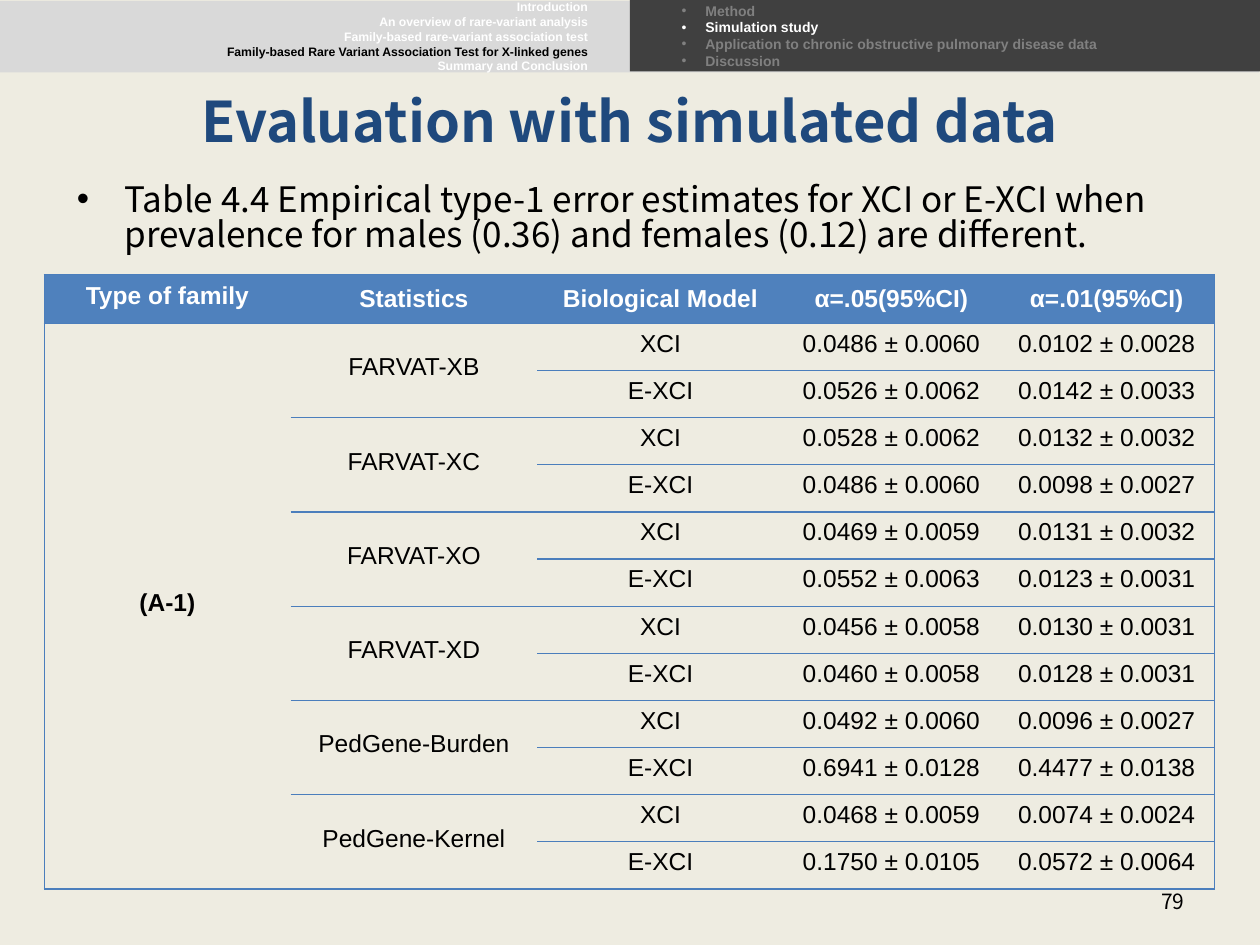
import dataclasses

import lxml.etree
import pptx
import pptx.dml.color
import pptx.enum.shapes
import pptx.enum.text
import pptx.oxml.ns
import pptx.util

Cm = pptx.util.Cm
Pt = pptx.util.Pt
Align = pptx.enum.text.PP_ALIGN
Anchor = pptx.enum.text.MSO_ANCHOR
qn = pptx.oxml.ns.qn


@dataclasses.dataclass(frozen=True)
class Theme:
    background: str = "EEECE1"
    light_bar: str = "D9D9D9"
    dark_bar: str = "404040"
    muted: str = "808080"
    white: str = "FFFFFF"
    black: str = "000000"
    title: str = "1F497D"
    header: str = "4F81BD"
    border: str = "4B7EBC"
    sans: str = "Arial"
    display: str = "Noto Sans CJK KR"
    title_size: float = 32
    body_size: float = 20
    table_size: float = 14
    number_size: float = 12
    section_size: float = 8
    chapter_size: float = 7
    border_width: float = 0.75
    plain_table: str = "{2D5ABB26-0587-4C30-8999-92F81FD0307C}"


def color(value):
    return pptx.dml.color.RGBColor.from_string(value)


def apply(target, values):
    for name, value in values.items():
        setattr(target, name, value)


class SlideBuilder:
    def __init__(self, presentation, theme):
        self.theme = theme
        self.slide = presentation.slides.add_slide(presentation.slide_layouts[6])
        fill = self.slide.background.fill
        fill.solid()
        fill.fore_color.rgb = color(theme.background)

    def bar(self, left, top, width, height, fill):
        shape = self.slide.shapes.add_shape(
            pptx.enum.shapes.MSO_SHAPE.RECTANGLE, Cm(left), Cm(top), Cm(width), Cm(height))
        shape.shadow.inherit = False
        shape.fill.solid()
        shape.fill.fore_color.rgb = color(fill)
        shape.line.fill.background()

    def bullet(self, paragraph, indent):
        properties = paragraph._p.get_or_add_pPr()
        properties.set("marL", str(Cm(indent)))
        properties.set("indent", str(-Cm(indent)))
        lxml.etree.SubElement(properties, qn("a:buFont"), typeface="Arial")
        lxml.etree.SubElement(properties, qn("a:buChar"), char="•")

    def styled_run(self, paragraph, text, font, fill, layout):
        run = paragraph.add_run()
        run.text = text
        apply(run.font, font)
        run.font.color.rgb = color(fill)
        apply(paragraph, layout)

    def text(self, box, lines, font, layout, indent=None, anchor=Anchor.TOP, wrap=True):
        shape = self.slide.shapes.add_textbox(*(Cm(length) for length in box))
        frame = shape.text_frame
        apply(frame, {"word_wrap": wrap, "vertical_anchor": anchor})
        for index, (line, fill) in enumerate(lines):
            paragraph = frame.add_paragraph() if index else frame.paragraphs[0]
            if indent:
                self.bullet(paragraph, indent)
            self.styled_run(paragraph, line, font, fill, layout)

    def borders(self, cell, edges):
        properties = cell._tc.get_or_add_tcPr()
        for edge in edges:
            line = lxml.etree.SubElement(
                properties, qn(f"a:ln{edge}"), w=str(Pt(self.theme.border_width)))
            fill = lxml.etree.SubElement(line, qn("a:solidFill"))
            lxml.etree.SubElement(fill, qn("a:srgbClr"), val=self.theme.border)

    def cell(self, cell, text, is_header, is_bold, line_spacing):
        theme = self.theme
        apply(cell, {"margin_left": Cm(0.18), "margin_right": Cm(0.18), "margin_top": 0,
                     "margin_bottom": 0, "vertical_anchor": Anchor.MIDDLE})
        if is_header:
            cell.fill.solid()
            cell.fill.fore_color.rgb = color(theme.header)
        else:
            cell.fill.background()
        if text:
            font = {"name": theme.sans, "size": Pt(theme.table_size), "bold": is_bold}
            layout = {"alignment": Align.CENTER, "space_after": Pt(4),
                      "line_spacing": line_spacing}
            self.styled_run(cell.text_frame.paragraphs[0], text, font,
                            theme.white if is_header else theme.black, layout)

    def table(self, left, top, widths, heights, rows, merges):
        frame = self.slide.shapes.add_table(
            len(rows), len(widths), Cm(left), Cm(top), Cm(sum(widths)), Cm(sum(heights)))
        table = frame.table
        table._tbl.tblPr.find(qn("a:tableStyleId")).text = self.theme.plain_table
        for column, width in zip(table.columns, widths):
            column.width = Cm(width)
        for row, height in zip(table.rows, heights):
            row.height = Cm(height)
        for first, last, column in merges:
            table.cell(first, column).merge(table.cell(last, column))
        for row, values in enumerate(rows):
            for column, text in enumerate(values):
                cell = table.cell(row, column)
                edges = {"L": column == 0, "R": column == len(widths) - 1,
                         "T": not cell.is_spanned,
                         "B": not cell.is_spanned or row == len(rows) - 1}
                self.borders(cell, [edge for edge, shown in edges.items() if shown])
                natural = row == 0 and column > 0
                self.cell(cell, text, row == 0, row == 0 or column == 0,
                          None if natural else Pt(12))


CHAPTERS = ["Introduction", "An overview of rare-variant analysis",
            "Family-based rare-variant association test",
            "Family-based Rare Variant Association Test for X-linked genes",
            "Summary and Conclusion"]
SECTIONS = ["Method", "Simulation study",
            "Application to chronic obstructive pulmonary disease data", "Discussion"]
HEADER = ["Type of family", "Statistics", "Biological Model", "α=.05(95%CI)", "α=.01(95%CI)"]
ESTIMATES = {
    "FARVAT-XB": [("0.0486 ± 0.0060", "0.0102 ± 0.0028"), ("0.0526 ± 0.0062", "0.0142 ± 0.0033")],
    "FARVAT-XC": [("0.0528 ± 0.0062", "0.0132 ± 0.0032"), ("0.0486 ± 0.0060", "0.0098 ± 0.0027")],
    "FARVAT-XO": [("0.0469 ± 0.0059", "0.0131 ± 0.0032"), ("0.0552 ± 0.0063", "0.0123 ± 0.0031")],
    "FARVAT-XD": [("0.0456 ± 0.0058", "0.0130 ± 0.0031"), ("0.0460 ± 0.0058", "0.0128 ± 0.0031")],
    "PedGene-Burden": [("0.0492 ± 0.0060", "0.0096 ± 0.0027"),
                       ("0.6941 ± 0.0128", "0.4477 ± 0.0138")],
    "PedGene-Kernel": [("0.0468 ± 0.0059", "0.0074 ± 0.0024"),
                       ("0.1750 ± 0.0105", "0.0572 ± 0.0064")],
}


def main():
    presentation = pptx.Presentation()
    apply(presentation, {"slide_width": Cm(25.4), "slide_height": Cm(19.05)})
    theme = Theme()
    builder = SlideBuilder(presentation, theme)

    builder.bar(0, 0.02, 25.38, 1.44, theme.light_bar)
    builder.text((1.3, 3.6, 22.86, 13.2),
                 [("Table 4.4 Empirical type-1 error estimates for XCI or E-XCI when "
                   "prevalence for males (0.36) and females (0.12) are different.", theme.black)],
                 {"name": theme.display, "size": Pt(theme.body_size)},
                 {"line_spacing": 0.83}, indent=0.96)
    builder.text((1.27, 1.73, 22.86, 1.4), [("Evaluation with simulated data", theme.title)],
                 {"name": theme.display, "size": Pt(theme.title_size), "bold": True},
                 {"alignment": Align.CENTER}, anchor=Anchor.MIDDLE)
    builder.bar(12.7, 0, 12.7, 1.44, theme.dark_bar)
    builder.text((13.49, -0.08, 8.97, 1.63),
                 [(name, theme.white if name == "Simulation study" else theme.muted)
                  for name in SECTIONS],
                 {"name": theme.sans, "size": Pt(theme.section_size), "bold": True},
                 {}, indent=0.48, wrap=False)

    rows = [HEADER]
    merges = [(1, 2 * len(ESTIMATES), 0)]
    for statistic, models in ESTIMATES.items():
        merges.append((len(rows), len(rows) + 1, 1))
        for model, values in zip(("XCI", "E-XCI"), models):
            is_first = model == "XCI"
            family = "(A-1)" if len(rows) == 1 else ""
            rows.append([family, statistic if is_first else "", model, *values])
    builder.table(0.89, 5.53, [4.97] * 3 + [4.34] * 2,
                  [0.99] + [0.95] * (len(rows) - 1), rows, merges)

    builder.text((1.3, -0.13, 10.8, 1.75),
                 [(name, theme.black if "X-linked" in name else theme.white)
                  for name in CHAPTERS],
                 {"name": theme.sans, "size": Pt(theme.chapter_size), "bold": True},
                 {"alignment": Align.RIGHT})
    builder.text((18.21, 17.65, 5.92, 1.02), [("79", theme.black)],
                 {"name": theme.display, "size": Pt(theme.number_size)},
                 {"alignment": Align.RIGHT}, anchor=Anchor.MIDDLE)
    presentation.save("out.pptx")


if __name__ == "__main__":
    main()
